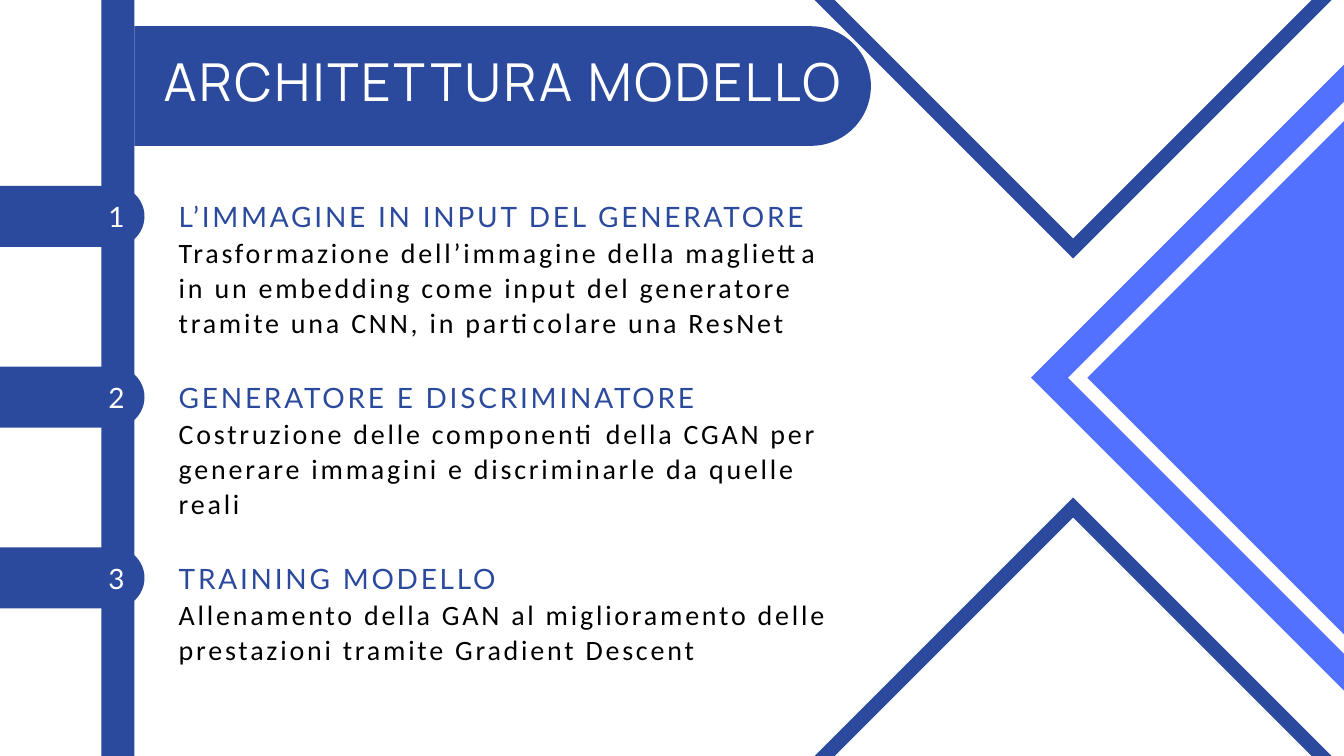
from pptx import Presentation
from pptx.dml.color import RGBColor
from pptx.enum.shapes import MSO_SHAPE as Shape
from pptx.enum.text import MSO_ANCHOR as Anchor, MSO_AUTO_SIZE as AutoSize, PP_ALIGN as Align
from pptx.util import Inches, Pt

NAVY = RGBColor(0x2B, 0x4A, 0x9D)
BLUE = RGBColor(0x52, 0x71, 0xFF)
WHITE = RGBColor(0xFF, 0xFF, 0xFF)
BLACK = RGBColor(0, 0, 0)

TITLE = "ARCHITETTURA MODELLO"
STEPS = [
    ("L’IMMAGINE IN INPUT DEL GENERATORE",
     "Trasformazione dell’immagine della maglietta in un embedding come input "
     "del generatore tramite una CNN, in particolare una ResNet", 1.56),
    ("GENERATORE E DISCRIMINATORE",
     "Costruzione delle componenti della CGAN per generare immagini e "
     "discriminarle da quelle reali", 1.56),
    ("TRAINING MODELLO",
     "Allenamento della GAN al miglioramento delle prestazioni tramite "
     "Gradient Descent", 1.04),
]
DIAMONDS = [
    (Shape.RECTANGLE, 20.42, 5.62, 7.18, None, BLUE),
    (Shape.FRAME, 20.42, 5.62, 6.4, 0.2, WHITE),
    (Shape.FRAME, 15.97, 12.17, 6.74, 0.21, NAVY),
    (Shape.FRAME, 15.97, -0.92, 6.74, 0.21, NAVY),
]
FIRST_TOP, STEP_PITCH = 2.89, 2.69
TEXT_LEFT, TEXT_WIDTH = 2.66, 9.76


def add_filled(page, kind, center_x, center_y, width, height, color, rotation=0):
    shape = page.shapes.add_shape(
        kind, Inches(center_x - width / 2), Inches(center_y - height / 2),
        Inches(width), Inches(height))
    shape.rotation = rotation
    shape.shadow.inherit = False
    shape.fill.solid()
    shape.fill.fore_color.rgb = color
    shape.line.fill.background()
    return shape


def add_tab(page, left, center_y, length, thickness):
    tab = add_filled(page, Shape.ROUND_2_SAME_RECTANGLE, left + length / 2, center_y,
                     thickness, length, NAVY, 90)
    tab.adjustments[0] = 0.5
    tab.adjustments[1] = 0


def write(box, text, font, size, color, leading, tracking, align=Align.LEFT):
    frame = box.text_frame
    frame.word_wrap = True
    frame.auto_size = AutoSize.NONE
    frame.vertical_anchor = Anchor.TOP
    frame.margin_left = frame.margin_right = frame.margin_top = frame.margin_bottom = 0
    para = frame.paragraphs[0]
    para.alignment = align
    para.line_spacing = Pt(leading)
    para.space_before = Pt(0)
    span = para.add_run()
    span.text = text
    span.font.name = font
    span.font.size = Pt(size)
    span.font.color.rgb = color
    span.font._element.set("spc", str(round(tracking * 100)))


def add_text(page, left, top, width, height, *style):
    box = page.shapes.add_textbox(Inches(left), Inches(top), Inches(width), Inches(height))
    write(box, *style)


def main():
    deck = Presentation()
    deck.slide_width, deck.slide_height = Inches(20), Inches(11.25)
    page = deck.slides.add_slide(deck.slide_layouts[5])

    add_filled(page, Shape.RECTANGLE, 1.755, 5.625, 0.49, 11.25, NAVY)
    for kind, center_x, center_y, side, band, color in DIAMONDS:
        diamond = add_filled(page, kind, center_x, center_y, side, side, color, 45)
        if band:
            diamond.adjustments[0] = band / side
    add_tab(page, 2, 1.28, 10.96, 1.78)

    for index, (heading, body, body_height) in enumerate(STEPS):
        top = FIRST_TOP + index * STEP_PITCH
        add_tab(page, 0, top + 0.33, 2.15, 0.91)
        add_text(page, 1.47, top, 0.53, 0.57,
                 str(index + 1), "Lato", 30, WHITE, 42, 3, Align.CENTER)
        add_text(page, TEXT_LEFT, top, TEXT_WIDTH, 0.57, heading, "Lato", 30, NAVY, 42, 3)
        add_text(page, TEXT_LEFT, top + 0.6, TEXT_WIDTH, body_height,
                 body, "Calibri", 30, BLACK, 37.5, 3)

    title = page.shapes.title
    title.left, title.top = Inches(1.53), Inches(0.85)
    title.width, title.height = Inches(11.89), Inches(0.9)
    write(title, TITLE, "Manrope", 56, WHITE, 58.8, 2.8, Align.CENTER)
    title.element.getparent().append(title.element)

    deck.save("out.pptx")


if __name__ == "__main__":
    main()
